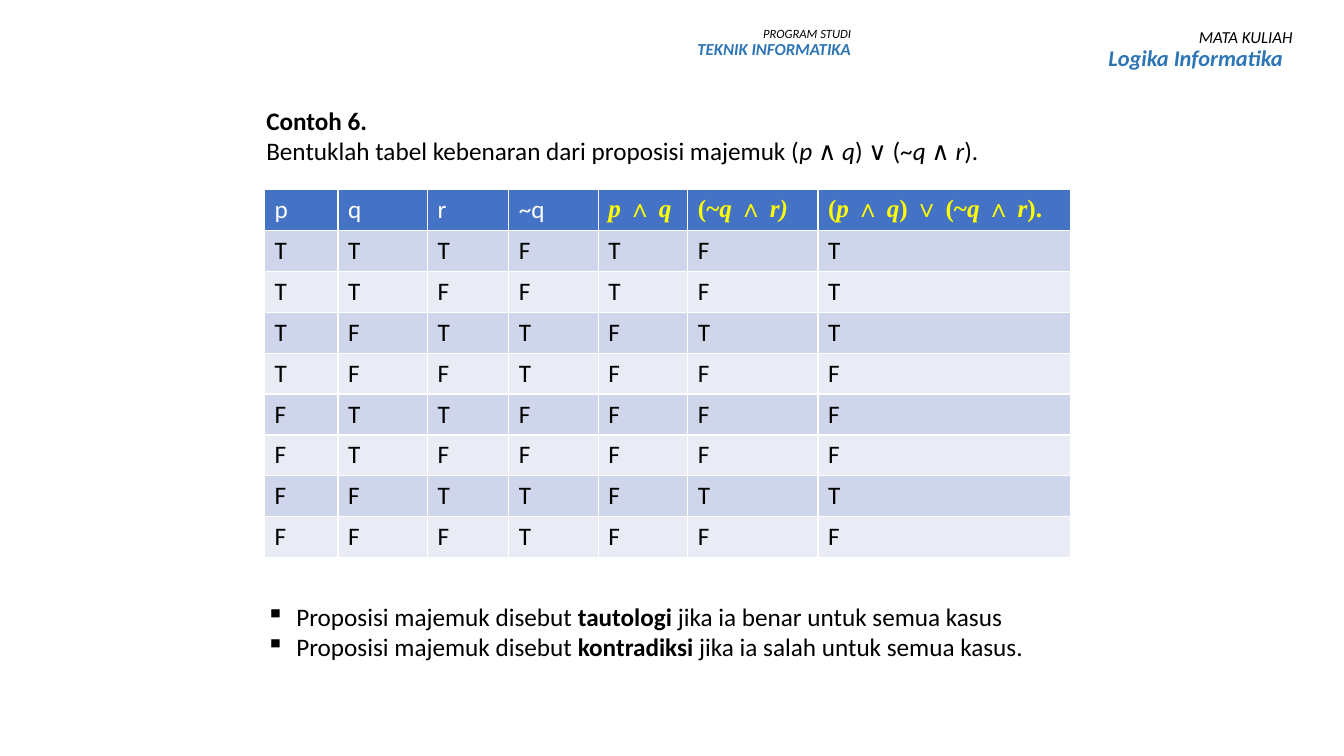
from itertools import product
from pptx import Presentation
from pptx import util as u
from pptx.dml import color
from pptx.enum import text
from pptx.oxml import parse_xml
from pptx.oxml import ns

HUES = {"ink": "000000", "white": "FFFFFF", "blue": "2E75B6", "gold": "FFFF00",
        "head": "4472C4", "odd": "CFD5EA", "even": "E9EBF5"}
LEFT, MID = text.PP_ALIGN.LEFT, text.MSO_ANCHOR.MIDDLE
RIGHT = text.PP_ALIGN.RIGHT


def write(par, words, size=18, hue="ink", font="Calibri", bold=False,
          slant=False, align=LEFT, lead=1.0):
    """Fill a paragraph; * toggles bold and _ toggles italic."""
    par.alignment, par.line_spacing, par.space_before = align, lead, u.Pt(0)
    for i, chunk in enumerate(words.split("*")):
        for j, piece in enumerate(chunk.split("_")):
            if not piece:
                continue
            run = par.add_run()
            run.text = piece
            face = run.font
            face.name, face.size = font, u.Pt(size)
            face.bold = bold != bool(i % 2)
            face.italic = slant != bool(j % 2)
            face.color.rgb = color.RGBColor.from_string(HUES[hue])


class Page:
    def __init__(self, deck):
        self.slide = deck.slides.add_slide(deck.slide_layouts[5])

    def fill(self, shape, lines, anchor):
        frame = shape.text_frame
        frame.word_wrap = True
        frame.auto_size = text.MSO_AUTO_SIZE.NONE
        frame.vertical_anchor = anchor
        for i, (words, form) in enumerate(lines):
            par = frame.add_paragraph() if i else frame.paragraphs[0]
            if form.get("mark"):
                self.bullet(par, form["mark"])
            write(par, words, **{k: v for k, v in form.items() if k != "mark"})

    def bullet(self, par, mark, gap=21.6):
        props = par._p.get_or_add_pPr()
        props.set("marL", str(u.Pt(gap)))
        props.set("indent", str(-u.Pt(gap)))
        props.append(parse_xml(f'<a:buChar {ns.nsdecls("a")} char="{mark}"/>'))

    def title(self, x, y, w, h, lines):
        shape = self.slide.shapes.title
        shape.left, shape.top = u.Pt(x), u.Pt(y)
        shape.width, shape.height = u.Pt(w), u.Pt(h)
        self.fill(shape, lines, MID)

    def box(self, x, y, w, h, lines):
        shape = self.slide.shapes.add_textbox(u.Pt(x), u.Pt(y), u.Pt(w), u.Pt(h))
        self.fill(shape, lines, text.MSO_ANCHOR.TOP)

    def table(self, x, y, wide, tall, heads, rows):
        count = len(rows) + 1
        grid = self.slide.shapes.add_table(
            count, len(wide), u.Pt(x), u.Pt(y),
            u.Pt(sum(wide)), u.Pt(tall * count)).table
        for col, width in zip(grid.columns, wide):
            col.width = u.Pt(width)
        for i, row in enumerate([heads] + rows):
            grid.rows[i].height = u.Pt(tall)
            tint = "head" if i == 0 else "odd" if i % 2 else "even"
            for j, (words, form) in enumerate(row):
                cell = grid.cell(i, j)
                cell.fill.solid()
                cell.fill.fore_color.rgb = color.RGBColor.from_string(HUES[tint])
                write(cell.text_frame.paragraphs[0], words, **form)


def truth():
    """Rows of the truth table for (p ∧ q) ∨ (~q ∧ r)."""
    rows = []
    for p, q, r in product((True, False), repeat=3):
        both, rest = p and q, not q and r
        vals = (p, q, r, not q, both, rest, both or rest)
        rows.append([("T" if val else "F", {}) for val in vals])
    return rows


def main():
    deck = Presentation()
    deck.slide_width, deck.slide_height = u.Pt(960), u.Pt(540)
    page = Page(deck)

    # Example heading
    page.title(183, 71.3, 612, 51, [
        ("Contoh 6.", {"bold": True}),
        ("Bentuklah tabel kebenaran dari proposisi majemuk "
         "(_p _∧ _q_) ∨ (~_q_ ∧ _r_).", {})])

    # Truth table
    plain = {"hue": "white"}
    math = {"hue": "gold", "font": "Times New Roman", "bold": True}
    heads = [(name, plain) for name in ("p", "q", "r", "~q")]
    heads += [(name, math) for name in (
        "_p _∧ _q_", "(~_q_ ∧ _r)_", "(_p _∧ _q_) ∨ (~_q_ ∧ _r_).")]
    page.table(188.9, 135.5, [52.5, 64, 58, 64, 64, 93, 180.5], 29.2,
               heads, truth())

    # Definitions
    point = {"mark": "▪"}
    page.box(183, 426, 582, 51, [
        ("Proposisi majemuk disebut *tautologi *jika ia benar untuk semua kasus",
         point),
        ("Proposisi majemuk disebut *kontradiksi *jika ia salah untuk semua kasus.",
         point)])

    # Programme and course labels
    label = {"slant": True, "align": RIGHT, "lead": 0.9}
    strong = {**label, "hue": "blue", "bold": True}
    page.box(434, 16, 181, 40, [
        ("PROGRAM STUDI", {**label, "size": 9}),
        ("TEKNIK INFORMATIKA", {**strong, "size": 12})])
    page.box(659.5, 17.3, 271, 20, [("MATA KULIAH", {**label, "size": 12})])
    page.box(652.5, 30.5, 271, 26, [("Logika Informatika", {**strong, "size": 16})])

    deck.save("out.pptx")


if __name__ == "__main__":
    main()
